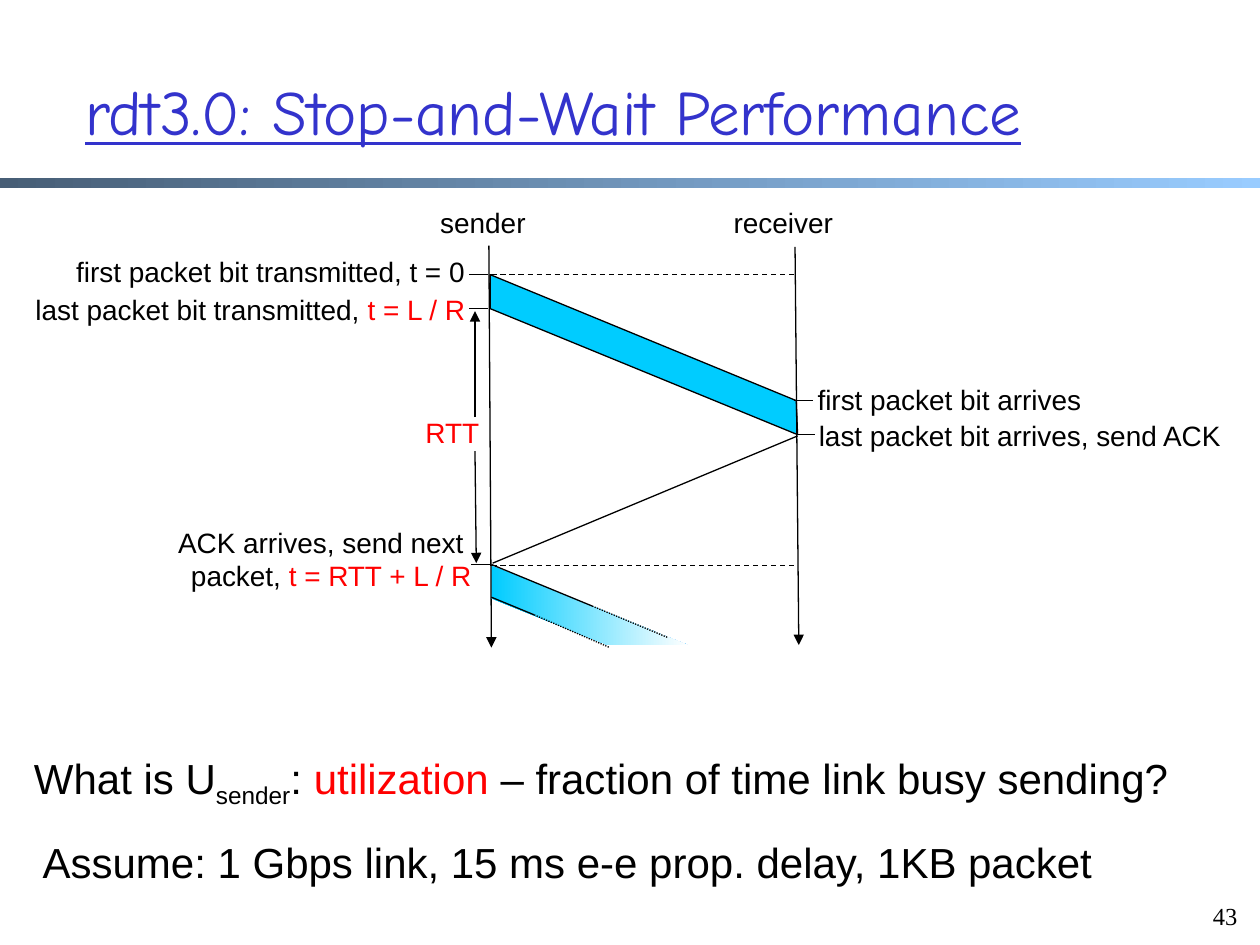
from dataclasses import dataclass

from lxml.etree import SubElement
from pptx import Presentation
from pptx.dml.color import RGBColor as RGB
from pptx.enum.dml import MSO_LINE as Dash
from pptx.enum.shapes import MSO_CONNECTOR as Conn, MSO_SHAPE as Shape
from pptx.enum.text import MSO_ANCHOR as Anchor, PP_ALIGN as Align
from pptx.oxml.ns import qn
from pptx.util import Inches, Pt

COLS, ROWS = 100, 75
WIDE, HIGH = Inches(10), Inches(7.5)


@dataclass(frozen=True)
class Theme:
    ink: str = "000000"
    red: str = "FF0000"
    blue: str = "3333CC"
    cyan: str = "00CCFF"
    white: str = "FFFFFF"
    slate: str = "475E76"
    sky: str = "99CCFF"
    sans: str = "Arial"
    hand: str = "Comic Neue"
    serif: str = "Times New Roman"
    title: int = 36
    body: int = 24
    label: int = 16
    page: int = 14
    tiny: int = 10
    rule: float = 0.75


T = Theme()

# Grid columns of the two hosts and rows of the events
SEND, RECV = 38.9, 63.2
START, SENT, FIRST, LAST, ACK = 21.8, 24.5, 31.8, 34.5, 44.8


def col(x):
    return round(x * WIDE / COLS)


def row(y):
    return round(y * HIGH / ROWS)


def area(x, y, w, h):
    return col(x), row(y), col(w), row(h)


def blend(shape, *hues):
    """Fill from left to right with two colours."""
    shape.fill.gradient()
    shape.fill.gradient_angle = 0
    for stop, hue in zip(shape.fill.gradient_stops, hues):
        stop.color.rgb = RGB.from_string(hue)


def write(para, text, size=T.label, hue=T.ink, font=T.sans, under=None, base=0):
    run = para.add_run()
    run.text = text
    run.font.size, run.font.name = Pt(size), font
    run.font.underline = under
    run.font.color.rgb = RGB.from_string(hue)
    if base:
        run.font._element.set("baseline", str(base * 1000))


def box(slide, place, *lines, align=Align.LEFT, anchor=Anchor.TOP, fill=None):
    """Each line is a list of runs, a run being (text, options)."""
    shape = slide.shapes.add_textbox(*area(*place))
    if fill:
        shape.fill.solid()
        shape.fill.fore_color.rgb = RGB.from_string(fill)
    frame = shape.text_frame
    frame.word_wrap = True
    frame.vertical_anchor = anchor
    for i, line in enumerate(lines):
        para = frame.add_paragraph() if i else frame.paragraphs[0]
        para.alignment = align
        for text, style in line:
            write(para, text, **style)
    return frame


def line(slide, x1, y1, x2, y2, dash=None, arrow=False):
    link = slide.shapes.add_connector(Conn.STRAIGHT, col(x1), row(y1), col(x2), row(y2))
    link.line.width = Pt(T.rule)
    link.line.color.rgb = RGB.from_string(T.ink)
    if dash:
        link.line.dash_style = dash
    if arrow:
        SubElement(link.line._get_or_add_ln(), qn("a:tailEnd"), type="triangle")
    SubElement(link._element.spPr, qn("a:effectLst"))


def band(slide, *points):
    spots = [(col(x), row(y)) for x, y in points]
    pen = slide.shapes.build_freeform(*spots[0])
    pen.add_line_segments(spots[1:], close=True)
    shape = pen.convert_to_shape()
    shape.shadow.inherit = False
    return shape


def head(slide):
    bar = slide.shapes.add_shape(Shape.RECTANGLE, *area(0, 14.1, COLS, 0.8))
    bar.shadow.inherit = False
    bar.line.fill.background()
    blend(bar, T.slate, T.sky)
    style = dict(size=T.title, hue=T.blue, font=T.hand, under=True)
    box(slide, (5.8, 2.5, 89.1, 12.5),
        [("rdt3.0: Stop-and-Wait Performance", style)], anchor=Anchor.MIDDLE)


def labels(slide):
    red = dict(hue=T.red)
    for place, text in (((2.6, 19.7, 35.3, 3.9), "first packet bit transmitted, t = 0"),
                        ((33, 15.8, 9.7, 3.8), "sender"),
                        ((56.8, 15.8, 10.3, 3.8), "receiver")):
        box(slide, place, [(text, {})], align=Align.RIGHT, fill=T.white)
    for place, lines in (
            ((30.1, 32.5, 9.3, 3.7), [[("RTT", red), (" ", dict(size=T.tiny))]]),
            ((0, 22.7, 37.9, 3.9),
             [[("last packet bit transmitted, ", {}), ("t = L / R", red)]]),
            ((9, 41.2, 29.4, 6.9),
             [[("ACK arrives, send next ", {})],
              [("packet, ", {}), ("t = RTT + L / R", red)]])):
        box(slide, place, *lines, align=Align.RIGHT)
    box(slide, (63.9, 29.9, 26.5, 3.9), [("first packet bit arrives", {})])
    box(slide, (64, 32.7, 34.1, 6.2), [("last packet bit arrives, send ACK", {})])


def packets(slide):
    full = band(slide, (SEND, START), (RECV, FIRST), (RECV + 0.1, LAST), (SEND, SENT))
    full.fill.solid()
    full.fill.fore_color.rgb = RGB.from_string(T.cyan)
    full.line.color.rgb = RGB.from_string(T.ink)
    full.line.width = Pt(T.rule)

    left = SEND + 0.1
    part = band(slide, (left, ACK + 0.1), (54.6, 51.2), (48.3, 51.2), (left, 47.5))
    part.line.fill.background()
    blend(part, T.cyan, T.white)
    for y, mid, end in ((ACK, (47, 48.1), (53, 50.6)),
                        (47.4, (42.4, 48.8), (48.4, 51.4))):
        line(slide, left, y, *mid)
        line(slide, *mid, *end, dash=Dash.ROUND_DOT)


def timing(slide):
    line(slide, 38.8, 19.5, 39, 51.4, arrow=True)
    line(slide, 63.1, 19.6, 63.4, 51.2, arrow=True)
    for y in START, ACK + 0.1:
        line(slide, SEND + 0.1, y, 63, y, dash=Dash.DASH)
    line(slide, SEND + 0.2, ACK - 0.1, RECV + 0.1, LAST + 0.1)
    for x, y in ((SEND - 0.2, START), (SEND - 0.2, SENT), (SEND, ACK)):
        line(slide, x, y, x - 1.5, y)
    for x, y in ((RECV - 0.2, FIRST), (RECV, LAST)):
        line(slide, x, y, x + 1.5, y)
    line(slide, 37.7, 35.8, 37.8, ACK - 0.1, arrow=True)
    line(slide, 37.7, 33.1, 37.7, SENT + 0.2, arrow=True)


def notes(slide):
    big = dict(size=T.body)
    ask = box(slide, (-3.3, 59.2, 98, 5), [
        ("What is U", big), ("sender", dict(big, base=-25)), (": ", big),
        ("utilization", dict(big, hue=T.red)),
        (" – fraction of time link busy sending?", big)])
    ask.margin_left, ask.margin_right = col(6), 0
    box(slide, (2.4, 65.9, 87.6, 5),
        [("Assume: 1 Gbps link, 15 ms e-e prop. delay, 1KB packet", big)])
    box(slide, (94.6, 70.5, 4.6, 3.8), [("43", dict(size=T.page, font=T.serif))],
        align=Align.RIGHT, anchor=Anchor.BOTTOM)


def main():
    deck = Presentation()
    deck.slide_width, deck.slide_height = WIDE, HIGH
    slide = deck.slides.add_slide(deck.slide_layouts[6])
    for draw in head, labels, packets, timing, notes:
        draw(slide)
    deck.save("out.pptx")


if __name__ == "__main__":
    main()
